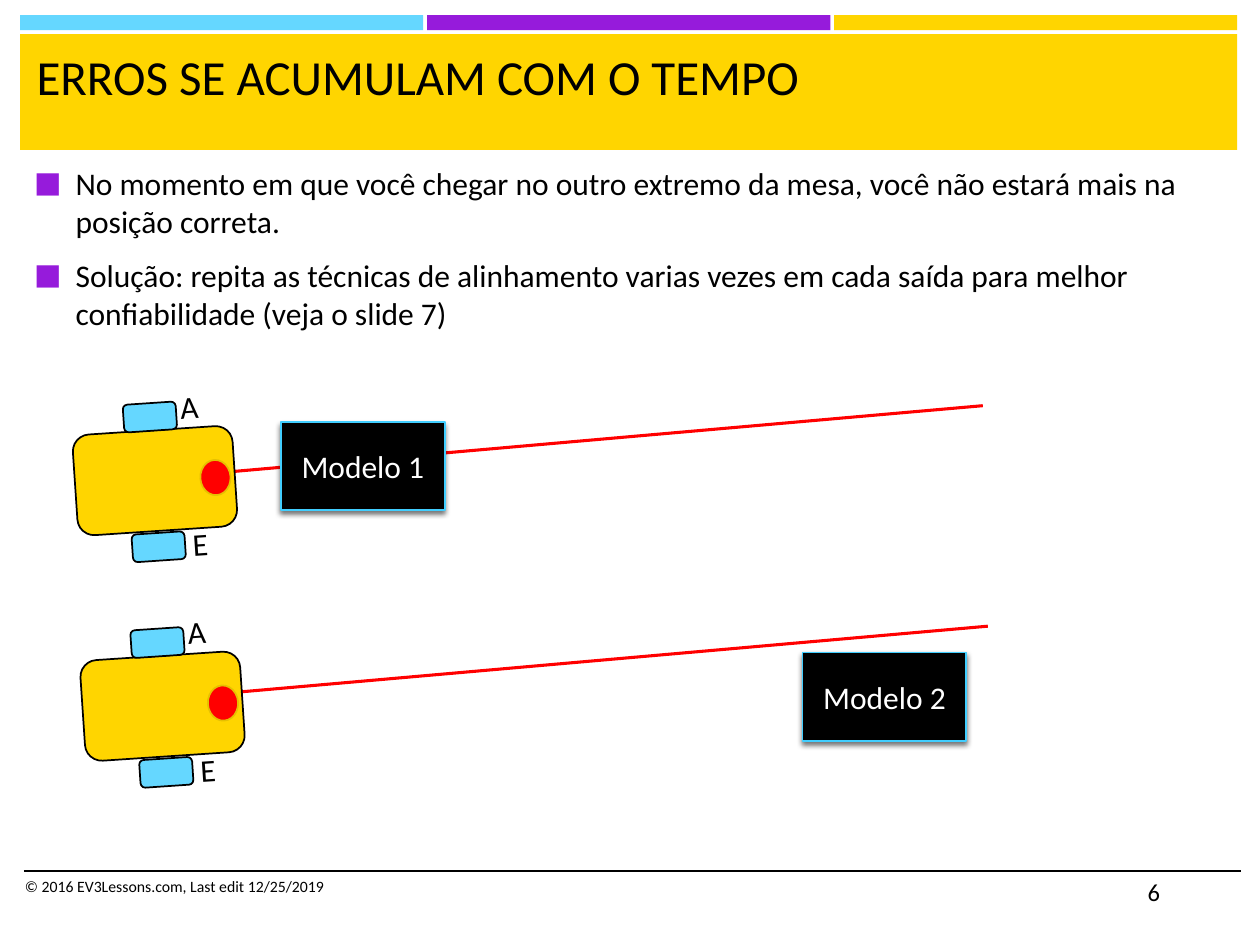
from lxml import etree
from pptx import Presentation
from pptx.dml.color import RGBColor
from pptx.enum.shapes import MSO_CONNECTOR, MSO_SHAPE
from pptx.enum.text import MSO_ANCHOR, MSO_AUTO_SIZE, PP_ALIGN
from pptx.oxml import parse_xml
from pptx.oxml.ns import nsdecls, qn
from pptx.util import Inches, Pt

RECTANGLE = MSO_SHAPE.RECTANGLE
ROUNDED = MSO_SHAPE.ROUNDED_RECTANGLE
OVAL = MSO_SHAPE.OVAL
STRAIGHT = MSO_CONNECTOR.STRAIGHT
TOP, MIDDLE = MSO_ANCHOR.TOP, MSO_ANCHOR.MIDDLE
NO_AUTOFIT = MSO_AUTO_SIZE.NONE
LEFT, CENTER = PP_ALIGN.LEFT, PP_ALIGN.CENTER

BLACK = RGBColor(0x00, 0x00, 0x00)
WHITE = RGBColor(0xFF, 0xFF, 0xFF)
YELLOW = RGBColor(0xFF, 0xD5, 0x00)
DARK_YELLOW = RGBColor(0xE6, 0xC0, 0x00)
PURPLE = RGBColor(0x96, 0x1B, 0xDB)
LIGHT_BLUE = RGBColor(0x65, 0xD7, 0xFF)
BORDER_BLUE = RGBColor(0x41, 0xCE, 0xFF)
RED = RGBColor(0xFF, 0x00, 0x00)

FONT = "Calibri"
ROBOT_TILT = 86.2
LABEL_TILT = 356.2
BULLETS = (
    "No momento em que você chegar no outro extremo da mesa, você não estará mais na posição correta.",
    "Solução: repita as técnicas de alinhamento varias vezes em cada saída para melhor "
    "confiabilidade (veja o slide 7)",
)


def inches(*lengths):
    """Convert several lengths to inches."""
    return [Inches(length) for length in lengths]


def style_paragraph(paragraph, size, color=BLACK, alignment=LEFT):
    """Set the font and alignment of a paragraph."""
    paragraph.alignment = alignment
    paragraph.font.name = FONT
    paragraph.font.size = Pt(size)
    paragraph.font.color.rgb = color


def add_box(shapes, kind, box, fill, line=None, rotation=0):
    """Add a filled preset shape, outlined if a line colour is given."""
    shape = shapes.add_shape(kind, *inches(*box))
    shape.shadow.inherit = False
    shape.rotation = rotation
    shape.fill.solid()
    shape.fill.fore_color.rgb = fill
    if line is None:
        shape.line.fill.background()
    else:
        shape.line.color.rgb = line
        shape.line.width = Pt(1)
    return shape


def add_text(shapes, box, text, size, rotation=0):
    """Add a wrapped text box with one paragraph."""
    shape = shapes.add_textbox(*inches(*box))
    shape.rotation = rotation
    shape.text_frame.word_wrap = True
    shape.text_frame.text = text
    style_paragraph(shape.text_frame.paragraphs[0], size)


def add_line(shapes, start, end, color, width):
    """Add a straight line without a shadow."""
    connector = shapes.add_connector(STRAIGHT, *inches(*start, *end))
    connector.line.color.rgb = color
    connector.line.width = Pt(width)
    etree.SubElement(connector._element.spPr, qn("a:effectLst"))


def add_model(shapes, left, top, text):
    """Add a black model block with a soft shadow below it."""
    shape = add_box(shapes, RECTANGLE, (left, top, 1.3, 0.7), BLACK, BORDER_BLUE)
    shape._element.spPr.find(qn("a:effectLst")).append(parse_xml(
        f'<a:outerShdw {nsdecls("a")} blurRad="{Pt(3)}" dist="{Pt(2)}" dir="5400000" rotWithShape="0">'
        '<a:srgbClr val="000000"><a:alpha val="55000"/></a:srgbClr></a:outerShdw>'))
    shape.text_frame.vertical_anchor = MIDDLE
    shape.text_frame.text = text
    style_paragraph(shape.text_frame.paragraphs[0], 18, WHITE, CENTER)


def add_robot(slide, left, top):
    """Add a tilted robot with two wheels, a sensor and motor labels."""
    shapes = slide.shapes.add_group_shape().shapes
    parts = (
        (ROUNDED, 0, 0, 0.8, 1.27, YELLOW, BLACK),
        (ROUNDED, 0.32, 0.95, 0.22, 0.42, LIGHT_BLUE, BLACK),
        (ROUNDED, 0.25, -0.08, 0.22, 0.42, LIGHT_BLUE, BLACK),
        (OVAL, 0.74, 0.49, 0.28, 0.24, RED, DARK_YELLOW),
    )
    for kind, across, down, width, height, fill, line in parts:
        add_box(shapes, kind, (left + across, top + down, width, height), fill, line, ROBOT_TILT)
    for text, across, down in (("A", 0.5, -0.16), ("E", 0.6, 0.93)):
        add_text(shapes, (left + across, top + down, 0.51, 0.4), text, 18, LABEL_TILT)


def place_placeholder(shape, box):
    """Move a placeholder and return its text frame, anchored at the top."""
    shape.left, shape.top, shape.width, shape.height = inches(*box)
    frame = shape.text_frame
    frame.word_wrap = True
    frame.auto_size = NO_AUTOFIT
    frame.vertical_anchor = TOP
    return frame


def add_bullet(paragraph):
    """Give a paragraph a square bullet with a hanging indent."""
    properties = paragraph._p.get_or_add_pPr()
    properties.set("marL", str(Inches(0.33)))
    properties.set("indent", str(Inches(-0.33)))
    color = etree.SubElement(properties, qn("a:buClr"))
    etree.SubElement(color, qn("a:srgbClr"), val=str(PURPLE))
    etree.SubElement(properties, qn("a:buSzPct"), val="92000")
    etree.SubElement(properties, qn("a:buFont"), typeface=FONT)
    etree.SubElement(properties, qn("a:buChar"), char="■")


def fill_title(slide):
    """Write the slide title."""
    frame = place_placeholder(slide.shapes.title, (0.19, 0.32, 9.57, 0.82))
    frame.text = "ERROS SE ACUMULAM COM O TEMPO"
    style_paragraph(frame.paragraphs[0], 28)


def fill_body(slide):
    """Write the bulleted list."""
    frame = place_placeholder(slide.placeholders[1], (0.17, 1.25, 9.66, 5.56))
    frame.text = "\n".join(BULLETS)
    for index, paragraph in enumerate(frame.paragraphs):
        add_bullet(paragraph)
        paragraph.space_before = Pt(3.6 if index else 0)
        paragraph.space_after = Pt(6)
        style_paragraph(paragraph, 18)


def add_header(slide):
    """Add the three stripes and the title band behind the placeholders."""
    boxes = [add_box(slide.shapes, RECTANGLE, (0.16 + 3.23 * column, 0.12, 3.2, 0.12), color)
             for column, color in enumerate((LIGHT_BLUE, PURPLE, YELLOW))]
    boxes.append(add_box(slide.shapes, RECTANGLE, (0.16, 0.27, 9.66, 0.92), YELLOW))
    title = slide.shapes.title._element
    for box in boxes:
        title.addprevious(box._element)


def add_footer(slide):
    """Add the footer rule, copyright line and page number."""
    add_line(slide.shapes, (0.19, 6.91), (9.85, 6.91), BLACK, 1)
    add_text(slide.shapes, (0.1, 6.91, 5.33, 0.4), "© 2016 EV3Lessons.com, Last edit 12/25/2019", 9)
    add_text(slide.shapes, (9.01, 6.91, 0.84, 0.4), "6", 14)


def main():
    """Build the slide and save it."""
    presentation = Presentation()
    presentation.slide_width, presentation.slide_height = inches(10, 7.5)
    slide = presentation.slides.add_slide(presentation.slide_layouts[1])
    fill_title(slide)
    fill_body(slide)
    add_header(slide)
    add_footer(slide)
    add_line(slide.shapes, (0.85, 3.83), (7.8, 3.22), RED, 1.75)
    add_model(slide.shapes, 2.23, 3.35, "Modelo 1")
    add_line(slide.shapes, (0.9, 5.58), (7.84, 4.97), RED, 1.75)
    add_model(slide.shapes, 6.37, 5.18, "Modelo 2")
    add_robot(slide, 0.89, 4.97)
    add_robot(slide, 0.83, 3.18)
    presentation.save("out.pptx")


if __name__ == "__main__":
    main()
